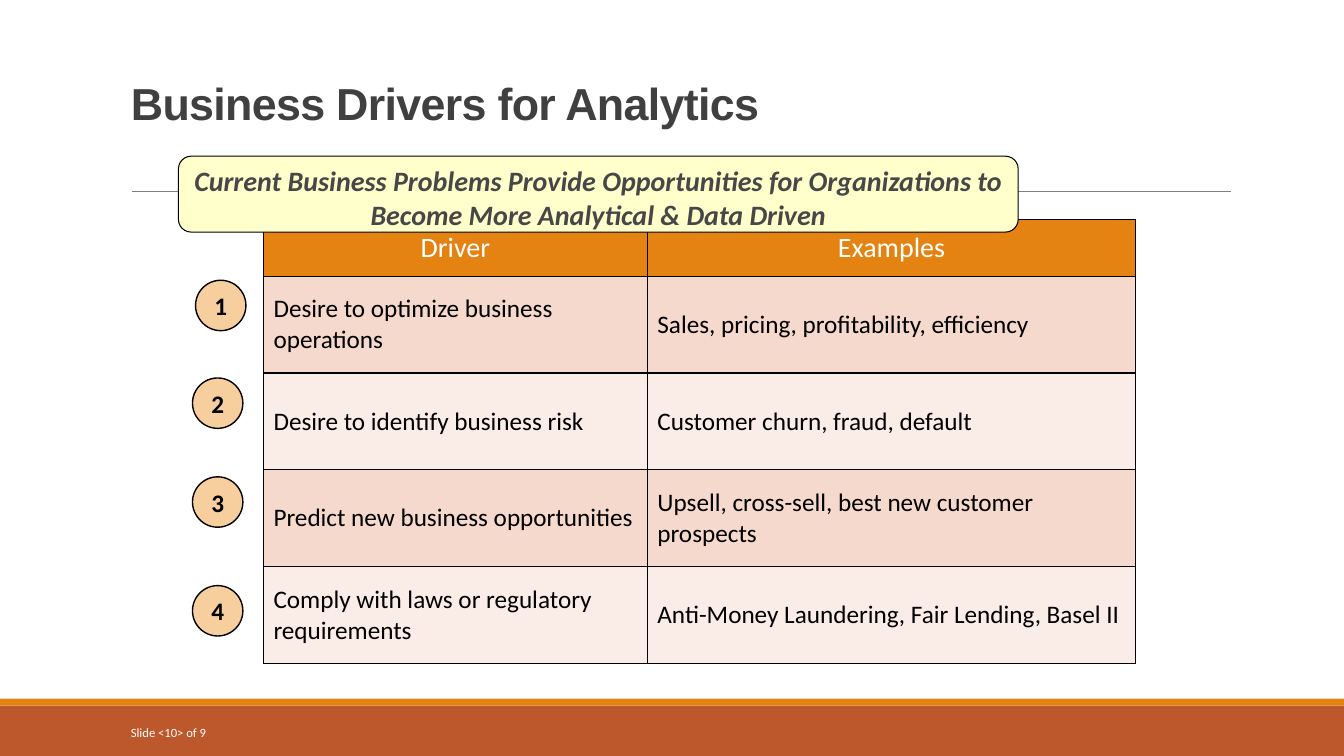
from dataclasses import dataclass

from lxml import etree
from pptx import Presentation
from pptx.dml.color import RGBColor
from pptx.enum import shapes, text
from pptx.oxml import ns
from pptx.util import Pt


@dataclass(frozen=True)
class Theme:
    ink: str = "000000"
    white: str = "FFFFFF"
    title: str = "404040"
    rule: str = "808080"
    orange: str = "E48312"
    rust: str = "BD582C"
    row_tints: tuple = ("F5D9CC", "FAEDE7")
    badge: str = "F7CE9D"
    callout: str = "FFFFCC"
    callout_text: str = "474747"
    heading_font: str = "Arial"
    body_font: str = "Calibri"
    title_size: float = 32
    lead_size: float = 20
    body_size: float = 18
    footer_size: float = 9


THEME = Theme()
WIDTH, HEIGHT = 960, 540
DRIVERS = [
    ("Desire to optimize business operations", "Sales, pricing, profitability, efficiency"),
    ("Desire to identify business risk", "Customer churn, fraud, default"),
    ("Predict new business opportunities", "Upsell, cross-sell, best new customer prospects"),
    ("Comply with laws or regulatory requirements", "Anti-Money Laundering, Fair Lending, Basel II"),
]
BADGE_SPOTS = [(139.7, 200.2), (137.5, 270), (137.5, 340.6), (137.5, 418.3)]


def colour(value):
    return RGBColor.from_string(value)


def write(frame, words, size, ink, font=THEME.body_font, bold=False, italic=False,
          align=text.PP_ALIGN.LEFT):
    para = frame.paragraphs[0]
    para.alignment = align
    span = para.add_run()
    span.text = words
    span.font.name = font
    span.font.size = Pt(size)
    span.font.bold = bold
    span.font.italic = italic
    span.font.color.rgb = colour(ink)
    return para, span


def add_box(page, kind, box, fill, line_width=None):
    shape = page.shapes.add_shape(kind, *map(Pt, box))
    shape.shadow.inherit = False
    shape.fill.solid()
    shape.fill.fore_color.rgb = colour(fill)
    if line_width is None:
        shape.line.fill.background()
    else:
        shape.line.color.rgb = colour(THEME.ink)
        shape.line.width = Pt(line_width)
    return shape


def set_insets(frame, left, top, right, bottom):
    frame.margin_left, frame.margin_top = Pt(left), Pt(top)
    frame.margin_right, frame.margin_bottom = Pt(right), Pt(bottom)


def add_text(page, box, anchor):
    frame = page.shapes.add_textbox(*map(Pt, box)).text_frame
    frame.word_wrap = True
    frame.vertical_anchor = anchor
    return frame


def add_footer(page, box):
    left, top, width, height = box
    stripe = 5
    add_box(page, shapes.MSO_SHAPE.RECTANGLE, (left, top + stripe, width, height - stripe), THEME.rust)
    add_box(page, shapes.MSO_SHAPE.RECTANGLE, (left, top, width, stripe), THEME.orange)
    frame = add_text(page, (left + 86.4, top + 9.5, 194.4, 28.8), text.MSO_ANCHOR.MIDDLE)
    write(frame, "Slide <10> of 9", THEME.footer_size, THEME.white)


def add_title(page, box):
    left, top, width, height = box
    rule_y = top + height + 40.4
    rule = page.shapes.add_connector(
        shapes.MSO_CONNECTOR.STRAIGHT, Pt(left + 7.9), Pt(rule_y), Pt(left + width + 0.8), Pt(rule_y))
    rule.line.color.rgb = colour(THEME.rule)
    rule.line.width = Pt(0.5)
    etree.SubElement(rule.element.spPr, ns.qn("a:effectLst"))
    frame = add_text(page, box, text.MSO_ANCHOR.BOTTOM)
    para, span = write(frame, "Business Drivers for Analytics", THEME.title_size,
                       THEME.title, THEME.heading_font, bold=True)
    para.line_spacing = 0.85
    span.font._element.set("spc", "-50")


def border_cell(cell):
    properties = cell._tc.get_or_add_tcPr()
    for position, side in enumerate(("lnL", "lnR", "lnT", "lnB")):
        edge = etree.Element(ns.qn(f"a:{side}"), w=str(Pt(1)))
        fill = etree.SubElement(edge, ns.qn("a:solidFill"))
        etree.SubElement(fill, ns.qn("a:srgbClr"), val=THEME.ink)
        properties.insert(position, edge)


def add_driver_table(page, box):
    header_height = 40.3
    rows = [("Driver", "Examples")] + DRIVERS
    table = page.shapes.add_table(len(rows), 2, *map(Pt, box)).table
    for column, share in zip(table.columns, (0.44, 0.56)):
        column.width = Pt(box[2] * share)
    for index, words in enumerate(rows):
        header = index == 0
        table.rows[index].height = Pt(header_height if header else (box[3] - header_height) / len(DRIVERS))
        for column, phrase in enumerate(words):
            cell = table.cell(index, column)
            cell.vertical_anchor = text.MSO_ANCHOR.MIDDLE
            cell.fill.solid()
            cell.fill.fore_color.rgb = colour(THEME.orange if header else THEME.row_tints[(index - 1) % 2])
            border_cell(cell)
            if header:
                write(cell.text_frame, phrase, THEME.lead_size, THEME.white, align=text.PP_ALIGN.CENTER)
            else:
                write(cell.text_frame, phrase, THEME.body_size, THEME.ink)


def add_badge(page, box, number):
    badge = add_box(page, shapes.MSO_SHAPE.OVAL, box, THEME.badge, 1)
    frame = badge.text_frame
    frame.word_wrap = False
    frame.vertical_anchor = text.MSO_ANCHOR.MIDDLE
    set_insets(frame, 0, 0, 0, 0)
    write(frame, str(number), THEME.body_size, THEME.ink, bold=True, align=text.PP_ALIGN.CENTER)


def add_callout(page, box):
    callout = add_box(page, shapes.MSO_SHAPE.ROUNDED_RECTANGLE, box, THEME.callout, 0.75)
    frame = callout.text_frame
    frame.word_wrap = True
    frame.vertical_anchor = text.MSO_ANCHOR.TOP
    set_insets(frame, 4, 2.5, 4, 0)
    write(frame, "Current Business Problems Provide Opportunities for Organizations to "
          "Become More Analytical & Data Driven", THEME.lead_size, THEME.callout_text,
          bold=True, italic=True, align=text.PP_ALIGN.CENTER)


def main():
    deck = Presentation()
    deck.slide_width, deck.slide_height = Pt(WIDTH), Pt(HEIGHT)
    page = deck.slides.add_slide(deck.slide_layouts[6])
    add_footer(page, (0, 499, WIDTH, HEIGHT - 499))
    add_title(page, (86.4, 36.5, 792, 60))
    add_driver_table(page, (188.2, 157, 623.2, 316.9))
    for number, (left, top) in enumerate(BADGE_SPOTS, 1):
        add_badge(page, (left, top, 36, 36), number)
    add_callout(page, (127.5, 111.6, 599.8, 54.2))
    deck.save("out.pptx")


if __name__ == "__main__":
    main()
